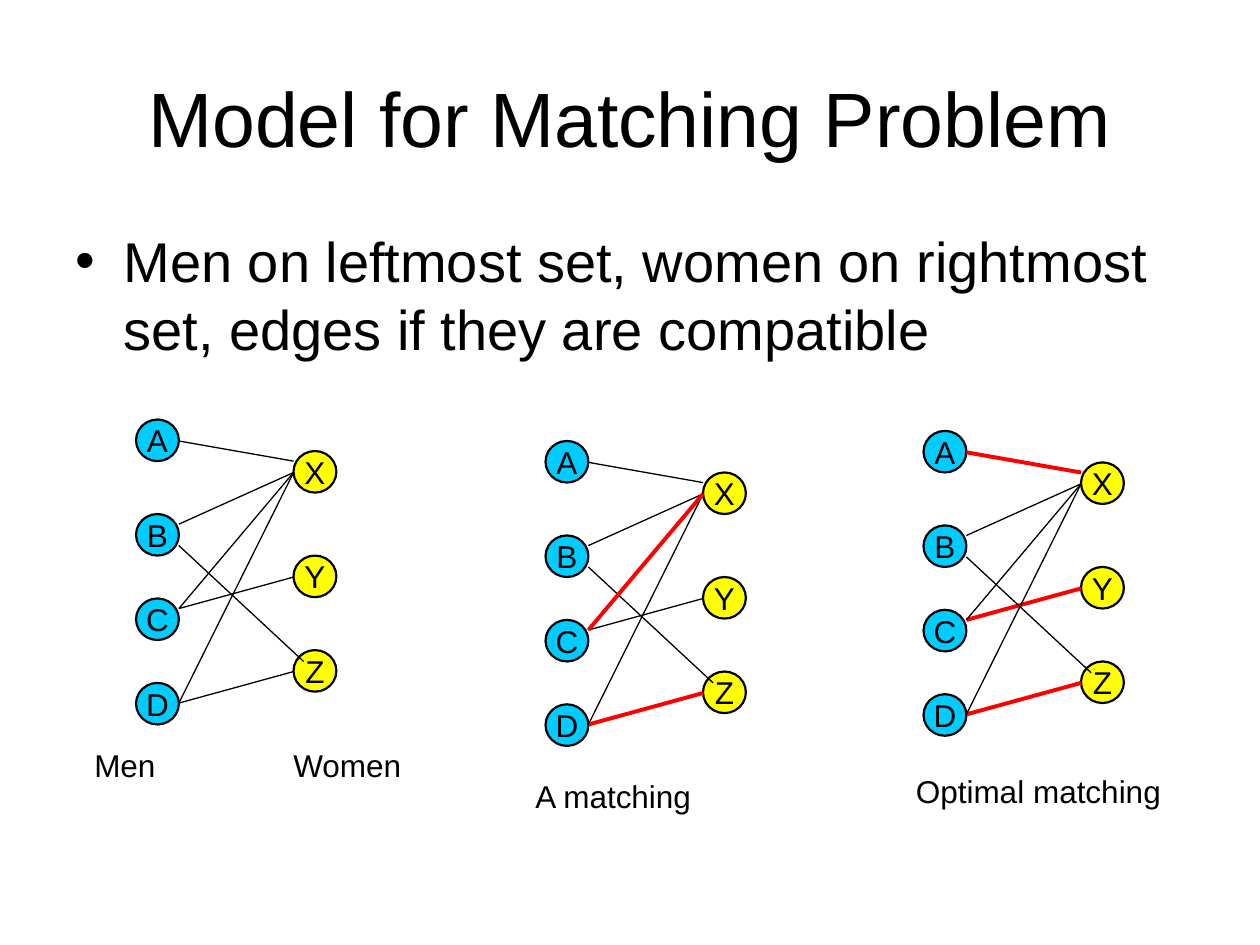
from lxml import etree
from pptx import Presentation
from pptx.dml.color import RGBColor
from pptx.enum.shapes import MSO_CONNECTOR, MSO_SHAPE
from pptx.enum.text import MSO_ANCHOR, MSO_AUTO_SIZE, PP_ALIGN
from pptx.oxml.ns import qn
from pptx.util import Inches, Pt

LEFT, CENTER = PP_ALIGN.LEFT, PP_ALIGN.CENTER
MIDDLE, TOP = MSO_ANCHOR.MIDDLE, MSO_ANCHOR.TOP
OVAL, STRAIGHT = MSO_SHAPE.OVAL, MSO_CONNECTOR.STRAIGHT

# Content
TITLE = "Model for Matching Problem"
BULLET = "Men on leftmost set, women on rightmost set, edges if they are compatible"
BLACK, RED, BLUE, YELLOW = "000000", "FF0000", "00CCFF", "FFFF00"

# Node offsets from the top left corner of a graph
NODE_WIDTH, NODE_HEIGHT = 0.34, 0.33
WOMEN_X = 1.25
MEN = {"A": 0, "B": 0.75, "C": 1.42, "D": 2.09}
WOMEN = {"X": 0.25, "Y": 1.08, "Z": 1.83}

# Edge offsets: start y, end x, end y (all start at the men's right side)
EDGES = {
    "AX": (0.17, WOMEN_X, 0.33),
    "BX": (0.83, WOMEN_X, 0.42),
    "CY": (1.5, WOMEN_X, 1.25),
    "DZ": (2.25, WOMEN_X, 2),
    "DX": (2.25, WOMEN_X, 0.42),
    "BZ": (1, 1.33, 1.92),
    "CX": (1.5, WOMEN_X, 0.42),
}

# Graphs: origin, matched edges, captions as (text, left, top, width)
GRAPHS = [
    (1.08, 3.33, (), [("Men", 0.65, 5.87, 0.69), ("Women", 2.23, 5.87, 1.06)]),
    (4.33, 3.5, ("CX", "DZ"), [("A matching", 4.15, 6.12, 1.45)]),
    (7.33, 3.42, ("AX", "CY", "DZ"), [("Optimal matching", 7.17, 6.08, 2.15)]),
]


def color(hex_value):
    return RGBColor.from_string(hex_value)


def write(shape, text, size=18, align=LEFT, anchor=TOP, wrap=False,
          auto_size=MSO_AUTO_SIZE.NONE):
    frame = shape.text_frame
    frame.text = text
    frame.word_wrap = wrap
    frame.auto_size = auto_size
    frame.vertical_anchor = anchor
    paragraph = frame.paragraphs[0]
    paragraph.alignment = align
    paragraph.space_before = Pt(0)
    font = paragraph.runs[0].font
    font.name, font.size = "Arial", Pt(size)
    font.color.rgb = color(BLACK)
    return paragraph


def place(shape, left, top, width, height):
    shape.left, shape.top = Inches(left), Inches(top)
    shape.width, shape.height = Inches(width), Inches(height)


def add_node(slide, label, left, top, fill):
    node = slide.shapes.add_shape(OVAL, Inches(left), Inches(top),
                                  Inches(NODE_WIDTH), Inches(NODE_HEIGHT))
    node.shadow.inherit = False
    node.fill.solid()
    node.fill.fore_color.rgb = color(fill)
    node.line.color.rgb = color(BLACK)
    node.line.width = Pt(1.25)
    write(node, label, align=CENTER, anchor=MIDDLE)


def add_edge(slide, start, end, matched):
    edge = slide.shapes.add_connector(STRAIGHT, *map(Inches, start + end))
    edge.line.color.rgb = color(RED if matched else BLACK)
    edge.line.width = Pt(2.25 if matched else 0.75)
    etree.SubElement(edge._element.spPr, qn("a:effectLst"))


def add_graph(slide, left, top, matching, captions):
    for offset, group, fill in ((0, MEN, BLUE), (WOMEN_X, WOMEN, YELLOW)):
        for label, y in group.items():
            add_node(slide, label, left + offset, top + y, fill)
    for name, (start_y, end_x, end_y) in EDGES.items():
        add_edge(slide, (left + NODE_WIDTH, top + start_y),
                 (left + end_x, top + end_y), name in matching)
    for text, x, y, width in captions:
        box = slide.shapes.add_textbox(Inches(x), Inches(y), Inches(width), Inches(0.4))
        write(box, text, auto_size=MSO_AUTO_SIZE.SHAPE_TO_FIT_TEXT)


def main():
    presentation = Presentation()
    presentation.slide_width, presentation.slide_height = Inches(10), Inches(7.5)
    slide = presentation.slides.add_slide(presentation.slide_layouts[1])

    # Title and bullet
    title, body = slide.placeholders
    place(title, 0.5, 0.3, 9, 1.25)
    write(title, TITLE, size=44, align=CENTER, anchor=MIDDLE, wrap=True)
    place(body, 0.5, 1.75, 9, 4.95)
    paragraph = write(body, BULLET, size=32, wrap=True)
    properties = paragraph._p.get_or_add_pPr()
    properties.set("marL", str(Inches(0.38)))
    properties.set("indent", str(Inches(-0.38)))
    etree.SubElement(properties, qn("a:buChar"), char="•")

    # Three compatibility graphs
    for graph in GRAPHS:
        add_graph(slide, *graph)

    presentation.save("out.pptx")


if __name__ == "__main__":
    main()
